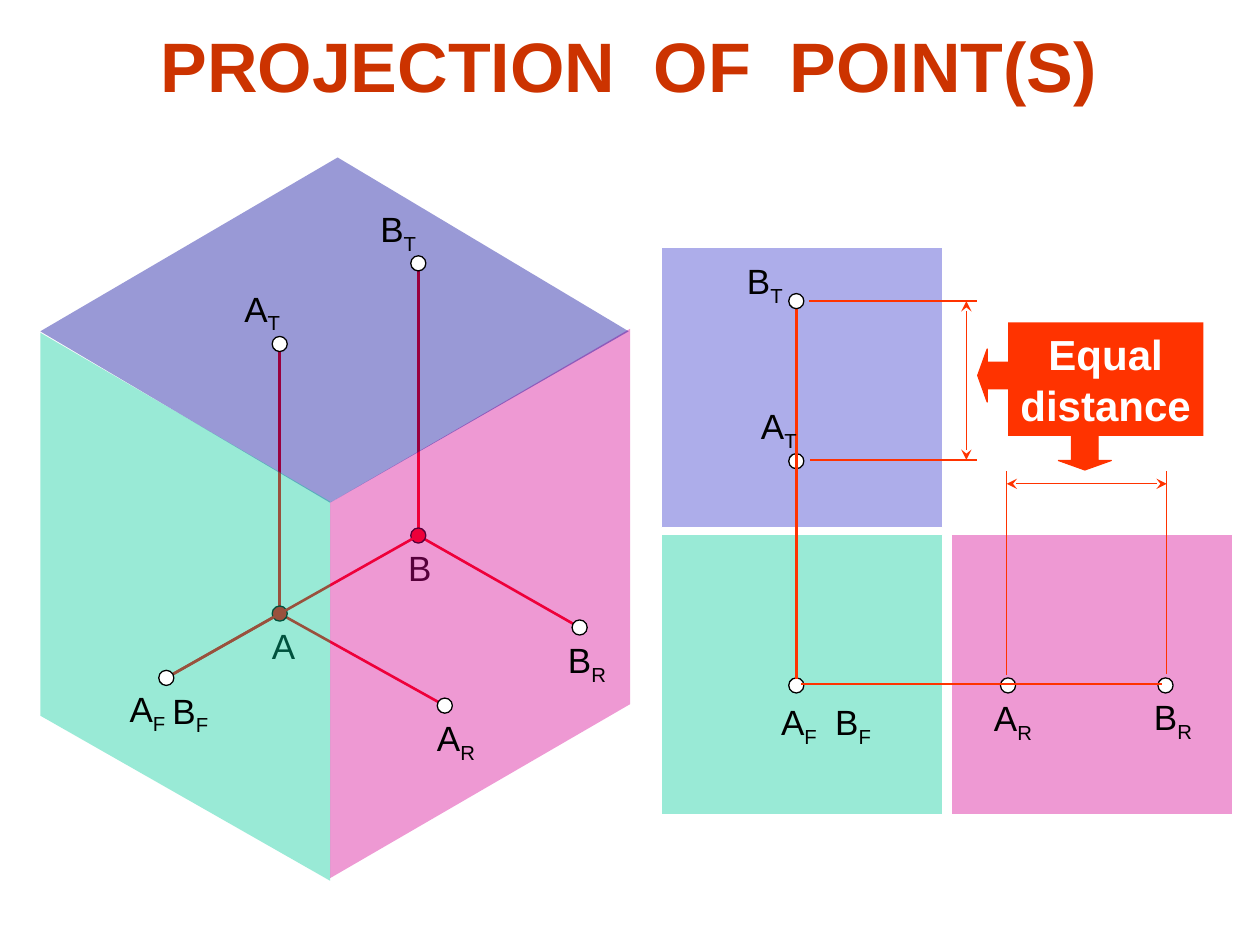
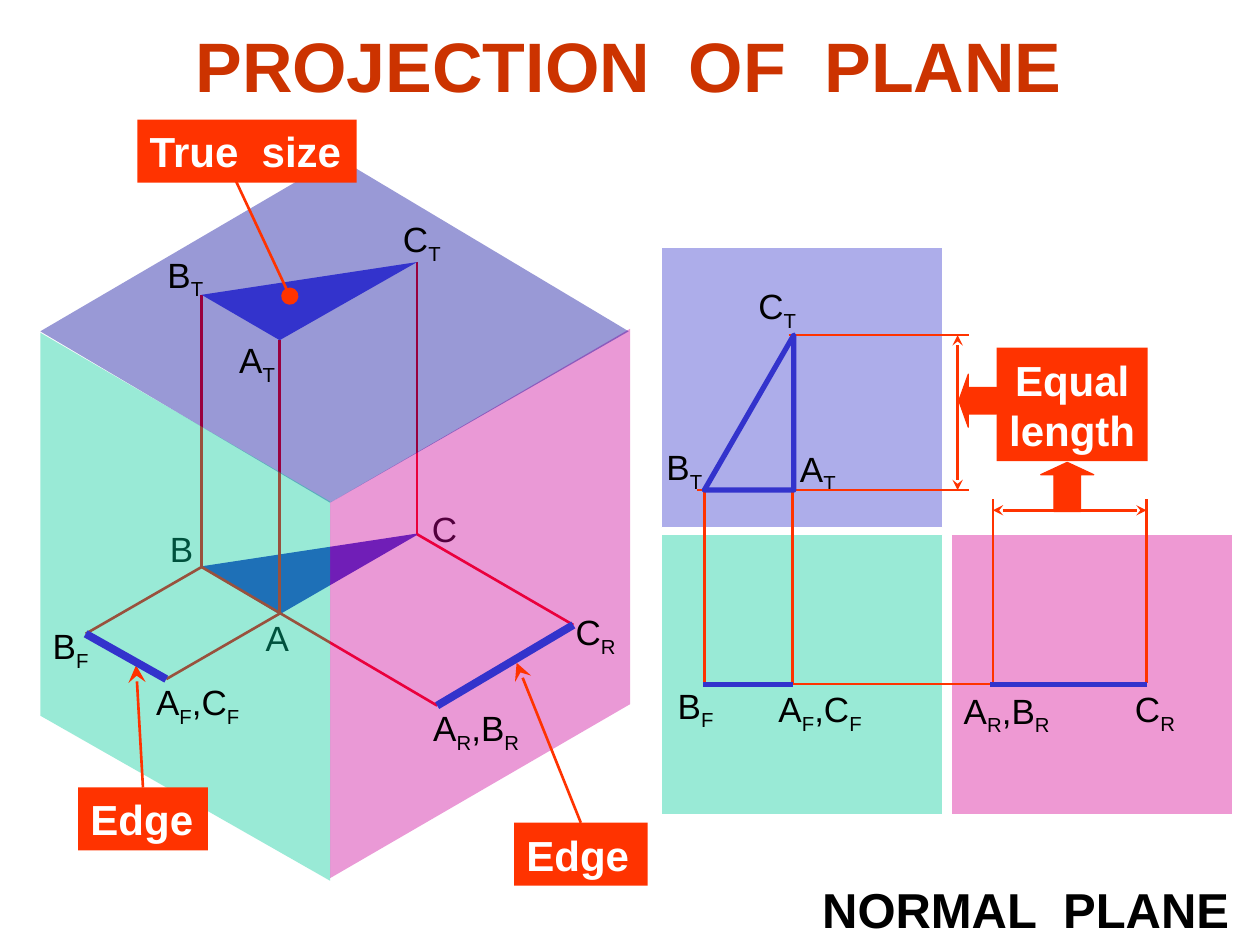
from dataclasses import dataclass
from itertools import groupby
from typing import Any

from lxml.etree import SubElement
from pptx import Presentation
from pptx.dml.color import RGBColor
from pptx.enum.shapes import MSO_CONNECTOR as Wire, MSO_SHAPE as Form
from pptx.enum.text import MSO_AUTO_SIZE as Fit, PP_ALIGN as Align
from pptx.oxml.ns import qn
from pptx.util import Inches, Pt

CELL = Inches(0.1)  # the slide is a grid of 100 columns by 75 rows
FONT = "Arial"
BLACK, WHITE = "000000", "FFFFFF"
RUST, RED, FLAME = "CC3300", "FF0000", "FF3300"
NAVY, BLUE, MINT, PINK, ROSE = "000099", "3333CC", "00CC99", "D60093", "CC0099"
SUBS = "FTR"  # view letters, always set as subscripts
WIDTHS = {"A": 1.9, "B": 1.9, "C": 2.05, ",": 0.8, "F": 1.2, "T": 1.2, "R": 1.35}


def cells(*nums):
    return [round(n * CELL) for n in nums]


def rgb(code):
    return RGBColor.from_string(code)


def style(run, size, color, bold=False):
    font = run.font
    font.name, font.size, font.bold = FONT, Pt(size), bold
    font.color.rgb = rgb(color)


def paint(shape, fill=None, edge=None, width=0.75, alpha=None):
    shape.shadow.inherit = False
    if fill:
        shape.fill.solid()
        shape.fill.fore_color.rgb = rgb(fill)
        if alpha:
            tone = shape._element.spPr.find(".//" + qn("a:srgbClr"))
            SubElement(tone, qn("a:alpha"), val=str(alpha * 1000))
    else:
        shape.fill.background()
    if edge:
        shape.line.color.rgb = rgb(edge)
        shape.line.width = Pt(width)
    else:
        shape.line.fill.background()
    return shape


@dataclass
class Box:
    """A region of the slide; parts are placed in cells from its corner."""
    slide: Any
    left: float
    top: float

    def spot(self, x, y):
        return cells(self.left + x, self.top + y)

    def shape(self, form, x, y, w, h, **look):
        part = self.slide.shapes.add_shape(form, *self.spot(x, y), *cells(w, h))
        return paint(part, **look)

    def area(self, points, **look):
        first, *rest = [self.spot(*p) for p in points]
        pen = self.slide.shapes.build_freeform(*first)
        pen.add_line_segments(rest)
        return paint(pen.convert_to_shape(), **look)

    def line(self, start, end, color=FLAME, width=1.5, head=None, tail=None,
             size="med"):
        wire = self.slide.shapes.add_connector(
            Wire.STRAIGHT, *self.spot(*start), *self.spot(*end))
        wire.line.color.rgb = rgb(color)
        wire.line.width = Pt(width)
        props = wire._element.spPr
        for tag, kind in (("a:headEnd", head), ("a:tailEnd", tail)):
            if kind:
                SubElement(props.find(qn("a:ln")), qn(tag),
                           type=kind, w=size, len=size)
        SubElement(props, qn("a:effectLst"))
        return wire

    def dot(self, x, y, fill=WHITE):
        self.shape(Form.OVAL, x - 0.6, y - 0.6, 1.2, 1.2, fill=fill, edge=BLACK)

    def label(self, text, x, y):
        wide = 2 + sum(WIDTHS[c] for c in text)
        area = self.slide.shapes.add_textbox(*self.spot(x, y), *cells(wide, 4.3))
        frame = area.text_frame
        frame.word_wrap, frame.auto_size = False, Fit.SHAPE_TO_FIT_TEXT
        for low, part in groupby(text, lambda c: c in SUBS):
            run = frame.paragraphs[0].add_run()
            run.text = "".join(part)
            style(run, 20, BLACK)
            if low:
                run.font._element.set("baseline", "-25000")

    def labels(self, places):
        for text, spot in places.items():
            self.label(text, *spot)

    def note(self, text, x, y, w, h):
        part = self.shape(Form.RECTANGLE, x, y, w, h, fill=FLAME)
        frame = part.text_frame
        frame.text = text
        frame.word_wrap, frame.auto_size = False, Fit.SHAPE_TO_FIT_TEXT
        for para in frame.paragraphs:
            para.alignment = Align.CENTER if "\n" in text else Align.LEFT
            style(para.runs[0], 24, WHITE, True)
        return part

    def arrow(self, x, y, h, turn=0):
        part = self.shape(Form.DOWN_ARROW, x, y, 4.2, h, fill=FLAME, edge=FLAME)
        part.adjustments[1] = 0.25
        part.rotation = turn

    def gauge(self, ends, far, at, width, flat=False):
        """Draw a dimension; ends maps each measured place to its line's start."""
        def turn(x, y):
            return (y, x) if flat else (x, y)
        for place, near in ends.items():
            self.line(turn(near, place), turn(far, place), width=width)
        low, high = ends
        self.line(turn(at, low), turn(at, high), width=width,
                  head="stealth", tail="stealth")


def title(slide, text, wide):
    head = slide.shapes.title
    head.left, head.top, head.width, head.height = cells(
        49.9 - wide / 2, 1.3, wide, 7.7)
    head.text_frame.text = text
    head.text_frame.word_wrap = False
    para = head.text_frame.paragraphs[0]
    para.alignment = Align.CENTER
    style(para.runs[0], 40, RUST, True)


def footer(slide, text):
    foot = slide.shapes.add_textbox(*cells(62.8, 69.3, 37.2, 5.7))
    foot.text_frame.word_wrap = True
    foot.text_frame.text = text
    para = foot.text_frame.paragraphs[0]
    para.alignment = Align.CENTER
    style(para.runs[0], 28, BLACK, True)


def faces(box, side):
    """Draw the three see-through faces of the cube."""
    for color, points in (
            (side, [(23, 27.4), (46.8, 13.6), (46.8, 43.4), (23, 57.2)]),
            (NAVY, [(0, 13.8), (23, 27.4), (46.7, 13.8), (23.6, 0)]),
            (MINT, [(0, 13.9), (23, 27.3), (23, 57.4), (0, 44.3)])):
        box.area(points, fill=color, alpha=40)


def squares(box):
    """Draw the front, right and top views unfolded."""
    for col, row, color in ((0, 1, MINT), (1, 1, PINK), (0, 0, BLUE)):
        box.shape(Form.RECTANGLE, col * 23, row * 22.8, 22.3, 22.3,
                  fill=color, edge=WHITE, alpha=40)


def point_cube(box):
    a, b, front = (19, 36.2), (30, 30), (10, 41.3)
    a_top, b_top = (19, 14.8), (30, 8.4)
    a_right, b_right = (32.1, 43.5), (42.8, 37.3)
    box.labels({"A": (17.4, 36.6), "B": (28.2, 30.4)})
    for start, end in ((b, b_top), (a, front), (a, a_top),
                       (b, b_right), (a, a_right)):
        box.line(start, end, RED)
    for point in (a, b):
        box.dot(*point, fill=RED)
    box.line(b, front, RED)
    faces(box, PINK)
    for point in (a_top, b_top, a_right, b_right, front):
        box.dot(*point)
    box.labels({"AF": (6.1, 41.6), "BR": (40.9, 37.7), "AT": (15.2, 9.8),
                "BF": (9.5, 41.7), "AR": (30.5, 43.9), "BT": (26, 3.5)})


def point_views(box):
    squares(box)
    for point in ((10.7, 34.8), (27.5, 34.8), (10.7, 17), (40, 34.8)):
        box.dot(*point)
    for x in (26.9, 39.7):
        box.line((11.1, 34.7), (x, 34.7))
    for y in (17.5, 4.6):
        box.line((10.7, 34.3), (10.7, y))
    box.dot(10.7, 4.3)
    box.labels({"AF": (8.5, 35.5), "AR": (25.4, 35.2), "AT": (6.9, 12),
                "BF": (12.8, 35.5), "BR": (38.1, 35.1), "BT": (5.8, 0.5)})
    box.gauge({4.3: 11.7, 16.9: 11.8}, 25, 24.2, 0.75)
    box.gauge({27.4: 34, 40.1: 33.9}, 17.8, 18.8, 0.75, flat=True)
    box.note("Equal\ndistance", 27.5, 6, 15.5, 9)
    box.arrow(31.5, 14.7, 3)
    box.arrow(24.5, 8.7, 3, 90)


def plane_cube(box):
    a, b, c = (19, 36.2), (12.8, 32.5), (29.9, 29.9)
    tops = a_top, b_top, c_top = (19, 14.5), (12.8, 10.9), (29.9, 8.3)
    a_front, b_front = (10, 41.4), (3.6, 37.8)
    a_right, c_right = (31.5, 43.5), (42.3, 37.1)
    box.area([b, a, c], fill=BLUE, edge=BLUE)
    box.labels({"B": (9.3, 28.9), "C": (30.1, 27.3), "A": (16.9, 35.9)})
    for start, end in ((c, c_top), (a, a_front), (b, b_top), (b, a_right),
                       (c, c_right), (b, b_front), (a, a_top)):
        box.line(start, end, RED)
    faces(box, ROSE)
    for spot, tip in (((37.6, 52.8, 10.6, 5), (37.8, 40.1)),
                      ((3, 50, 10.3, 5), (7.6, 40.3))):
        note = box.note("Edge", *spot)
        wire = box.line(spot[:2], tip, tail="stealth", size="lg")
        wire.begin_connect(note, 0)
    box.note("True  size", 7.7, -3, 17.4, 5)
    for start, end in ((c_right, a_right), (a_front, b_front)):
        box.line(start, end, BLUE, 4.5)
    box.area(tops, fill=BLUE)
    box.labels({"CR": (41.5, 35.5), "AR,BR": (30.2, 43.1), "AF,CF": (8.2, 41),
                "BF": (0, 36.6), "AT": (14.8, 13.9), "BT": (9.1, 7.1),
                "CT": (27.8, 4.3)})
    box.line((15.4, 1.6), (19.8, 11), tail="oval", size="lg")


def plane_views(box):
    squares(box)
    box.labels({"BF": (0.3, 34.2), "AF,CF": (8.3, 34.5), "CR": (36.6, 34.5),
                "AR,BR": (23, 34.6), "AT": (10, 15.4), "CT": (6.7, 2.5)})
    base = 34.7
    box.line((3.3, base), (26.1, base))
    box.line((10.4, base), (10.4, 6.9))
    box.line((3.4, base), (3.4, 19.2))
    box.gauge({7: 10.1, 19.3: 2.8}, 24.4, 23.5, 1.5)
    box.gauge({26.3: 34.6, 38.5: 34.6}, 20, 20.9, 1.5, flat=True)
    for start, end in ((10.4, 3.3), (26.1, 38.5)):
        box.line((start, base), (end, base), BLUE, 3)
    box.note("Equal\nlength", 26.6, 8, 12, 9)
    box.arrow(30.1, 17.1, 3.9, 180)
    box.arrow(23, 10.7, 3, 90)
    box.area([(3.4, 19.3), (10.5, 19.3), (10.5, 7)], edge=BLUE, width=3)
    box.label("BT", -0.6, 15.3)


def main():
    deck = Presentation()
    deck.slide_width, deck.slide_height = cells(100, 75)
    for text, wide, cube, views, foot in (
            ("PROJECTION  OF  POINT(S)", 76.4, point_cube, point_views, None),
            ("PROJECTION  OF  PLANE", 70.8, plane_cube, plane_views,
             "NORMAL  PLANE")):
        slide = deck.slides.add_slide(deck.slide_layouts[5])
        title(slide, text, wide)
        cube(Box(slide, 3.2, 12.5))
        views(Box(slide, 52.5, 19.6))
        if foot:
            footer(slide, foot)
    deck.save("out.pptx")


if __name__ == "__main__":
    main()
